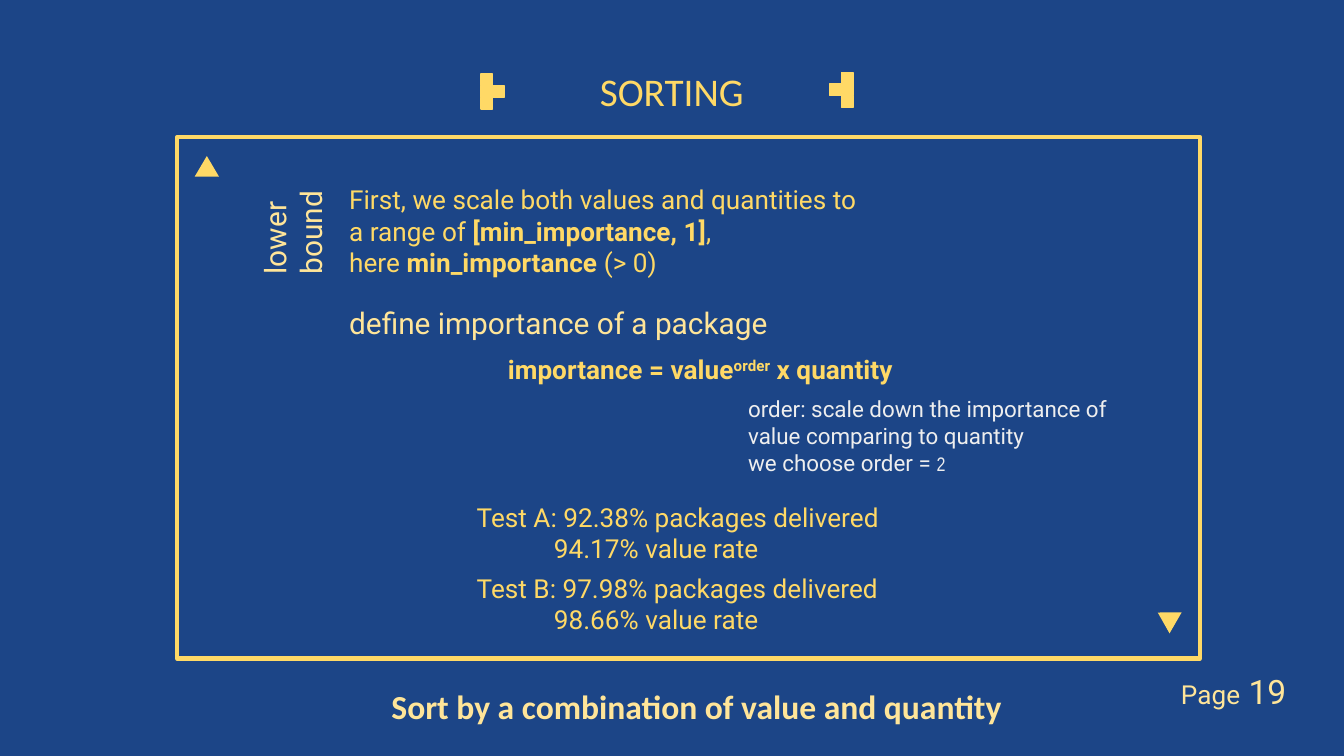
from dataclasses import dataclass

from pptx import Presentation
from pptx import util as u
from pptx.dml.color import RGBColor
from pptx.enum import shapes, text


@dataclass(frozen=True)
class Theme:
    background: str = "1C4587"
    gold: str = "FFD966"
    cream: str = "FFE599"
    white: str = "EEEEEE"
    heading_font: str = "Calibri"
    body_font: str = "Roboto"
    narrow_font: str = "Arial Narrow"
    title: float = 21
    large: float = 18
    medium: float = 16
    body: float = 14
    note: float = 12
    small: float = 10.5


THEME = Theme()


def box(*lengths):
    return [u.Cm(length) for length in lengths]


def paint(fill, color):
    fill.solid()
    fill.fore_color.rgb = RGBColor.from_string(color)


def add_run(paragraph, words, size, color, font=THEME.body_font, bold=False, raised=False):
    run = paragraph.add_run()
    run.text = words
    run.font.size = u.Pt(size)
    run.font.name = font
    run.font.bold = bold
    run.font.color.rgb = RGBColor.from_string(color)
    if raised:
        run._r.get_or_add_rPr().set("baseline", "30000")


def add_text(slide, place, paragraphs, size, color, indents=(), rotation=0):
    """Each paragraph is a list of (words, changed run settings)."""
    shape = slide.shapes.add_textbox(*box(*place))
    shape.rotation = rotation
    frame = shape.text_frame
    frame.word_wrap = True
    for index, runs in enumerate(paragraphs):
        paragraph = frame.paragraphs[0] if index == 0 else frame.add_paragraph()
        for words, changes in runs:
            add_run(paragraph, words, **{"size": size, "color": color, **changes})
        if index < len(indents):
            paragraph._p.get_or_add_pPr().set("marL", str(u.Cm(indents[index])))
    return shape


def format_heading(shape):
    """Centre a heading on the bottom of its box, with even margins."""
    frame = shape.text_frame
    frame.word_wrap = True
    frame.auto_size = text.MSO_AUTO_SIZE.NONE
    frame.vertical_anchor = text.MSO_ANCHOR.BOTTOM
    frame.margin_left = frame.margin_right = u.Cm(0.25)
    frame.margin_top = frame.margin_bottom = u.Cm(0.25)
    frame.paragraphs[0].alignment = text.PP_ALIGN.CENTER


def add_title(slide):
    title = slide.shapes.title
    title.left, title.top, title.width, title.height = box(0.86, 0.81, 23.67, 1.6)
    add_run(title.text_frame.paragraphs[0], "SORTING", THEME.title, THEME.gold, THEME.heading_font)
    format_heading(title)


def add_bracket(slide, left, top, direction):
    """Three stacked squares with a fourth beside the middle one."""
    side = 0.22
    group = slide.shapes.add_group_shape()
    for column, row in [(0, 0), (0, 1), (0, 2), (direction, 1)]:
        place = box(left + column * side, top + row * side, side, side)
        square = group.shapes.add_shape(shapes.MSO_SHAPE.RECTANGLE, *place)
        square.shadow.inherit = False
        paint(square.fill, THEME.gold)
        paint(square.line.fill, THEME.gold)
        square.line.width = u.Pt(0.75)


def add_frame(slide):
    frame = slide.shapes.add_shape(shapes.MSO_SHAPE.RECTANGLE, *box(3.35, 2.59, 19.33, 9.86))
    frame.shadow.inherit = False
    frame.fill.background()
    paint(frame.line.fill, THEME.gold)
    frame.line.width = u.Pt(2.25)


def add_triangle(slide, left, top, rotation=0):
    place = box(left, top, 0.46, 0.39)
    triangle = slide.shapes.add_shape(shapes.MSO_SHAPE.ISOSCELES_TRIANGLE, *place)
    triangle.shadow.inherit = False
    triangle.rotation = rotation
    paint(triangle.fill, THEME.gold)
    triangle.line.fill.background()


def add_result(slide, top, delivered, value_rate):
    lines = [[(delivered, {})], [(value_rate, {})]]
    add_text(slide, (8.76, top, 9.37, 1.45), lines, THEME.body, THEME.gold, indents=(0, 1.46))


def add_explanation(slide):
    bold = {"bold": True}
    add_text(slide, (6.35, 3.35, 10.24, 2.06), [
        [("First, we scale both values and quantities to a range of ", {}),
         ("[min_importance, 1]", bold), (",", {})],
        [("here ", {}), ("min_importance", bold), (" (> 0)", {})],
    ], THEME.body, THEME.gold)
    add_text(slide, (13.89, 7.34, 7.47, 1.8), [
        [("order: scale down the importance of value comparing to quantity", {})],
        [("we choose order = ", {}), ("2", {"size": THEME.small, "font": THEME.narrow_font})],
    ], THEME.note, THEME.white)
    add_text(slide, (4.37, 3.45, 2.34, 1.63), [[("lower", {})], [("bound", {})]],
             THEME.medium, THEME.cream, rotation=270)
    add_text(slide, (6.35, 5.64, 12.7, 0.94), [[("define importance of a package", {})]],
             THEME.medium, THEME.cream)
    add_text(slide, (5.54, 6.55, 13, 0.86), [
        [("importance = value", bold), ("order", {"bold": True, "raised": True}),
         (" x quantity", bold)],
    ], THEME.body, THEME.gold, indents=(3.81,))


def main():
    presentation = Presentation()
    presentation.slide_width, presentation.slide_height = box(25.4, 14.29)
    slide = presentation.slides.add_slide(presentation.slide_layouts[5])
    paint(slide.background.fill, THEME.background)

    add_title(slide)
    add_bracket(slide, 9.09, 1.4, direction=1)
    add_bracket(slide, 15.9, 1.37, direction=-1)
    add_frame(slide)
    add_triangle(slide, 3.68, 2.95)
    add_triangle(slide, 21.82, 11.48, rotation=300)

    summary = [[("Sort by a combination of value and quantity",
                 {"font": THEME.heading_font, "bold": True})]]
    format_heading(add_text(slide, (4.85, 12.88, 16.64, 1.09), summary, THEME.large, THEME.cream))
    add_explanation(slide)
    add_result(slide, 9.35, "Test A: 92.38% packages delivered", "94.17% value rate")
    add_result(slide, 10.69, "Test B: 97.98% packages delivered", "98.66% value rate")
    add_text(slide, (22.07, 12.55, 2.77, 1.04), [[("Page", {}), (" 19", {"size": THEME.large})]],
             THEME.body, THEME.cream)

    presentation.save("out.pptx")


if __name__ == "__main__":
    main()
